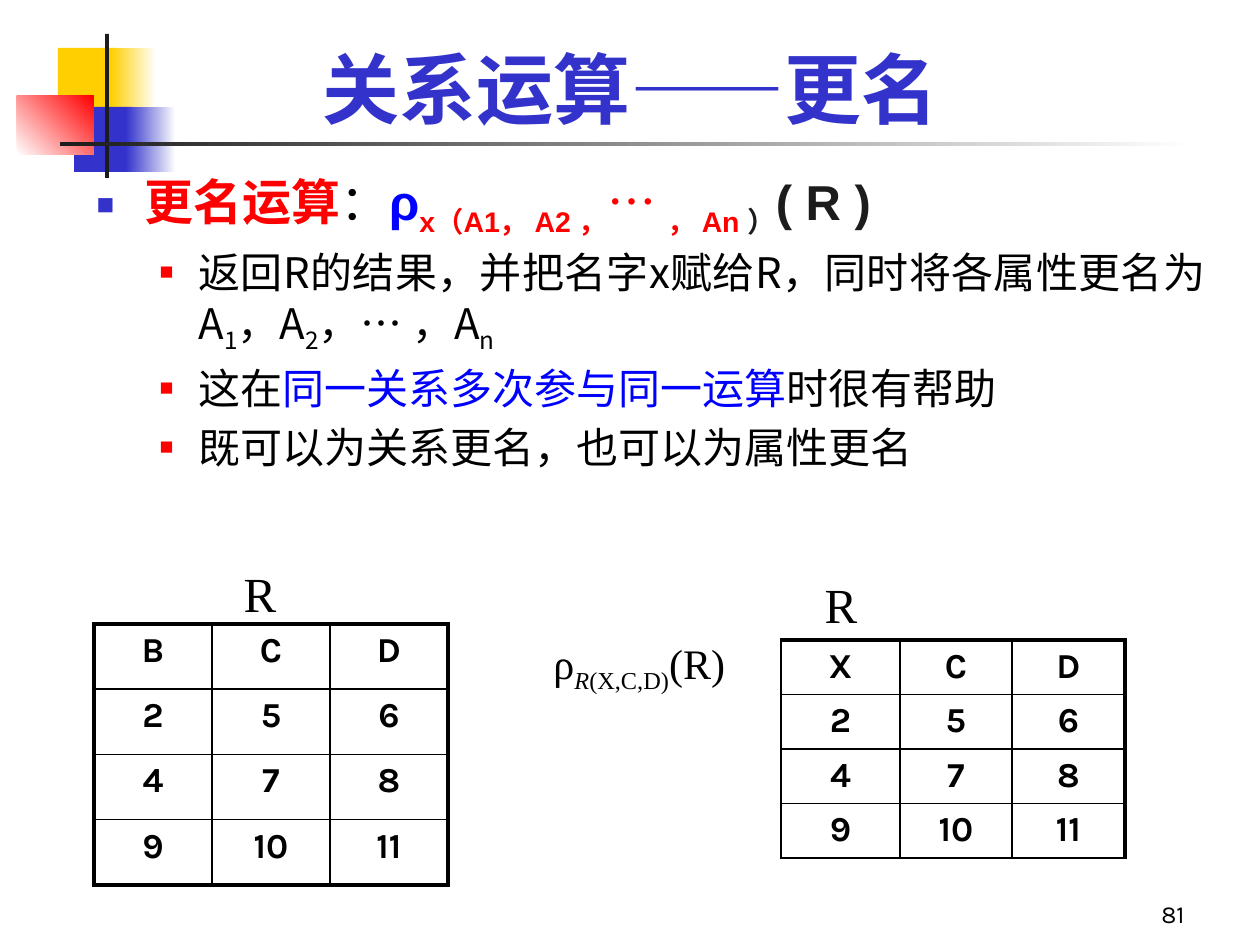
import dataclasses

import lxml.etree
import pptx
import pptx.dml.color
import pptx.enum.shapes
import pptx.enum.text
import pptx.oxml.ns
import pptx.util

ALIGN = pptx.enum.text.PP_ALIGN
ANCHOR = pptx.enum.text.MSO_ANCHOR
EMU_PER_PX = 914400 / 126


@dataclasses.dataclass(frozen=True)
class Theme:
    """Colours, typefaces and type sizes of the deck."""

    ink: str = "000000"
    dark: str = "1C1C1C"
    indigo: str = "3333CC"
    blue: str = "0000FF"
    red: str = "FF0000"
    yellow: str = "FFCF01"
    white: str = "FFFFFF"
    cjk: str = "Noto Sans CJK SC"
    sans: str = "Arial"
    serif: str = "Times New Roman"
    grid: str = "Karla"
    title: int = 44
    lead: int = 28
    item: int = 24
    cell: int = 20
    page: int = 14
    thin: float = 1
    thick: float = 2.25


THEME = Theme()


def emu(px):
    """Turn pixels into EMU."""
    return pptx.util.Emu(round(px * EMU_PER_PX))


def rgb(colour):
    """Turn a hex string into a colour."""
    return pptx.dml.color.RGBColor.from_string(colour)


def add_xml(parent, tag, **attributes):
    """Append a drawing element and return it."""
    return lxml.etree.SubElement(parent, pptx.oxml.ns.qn(tag), attributes)


def place(part, box):
    """Move a placeholder to a pixel box."""
    part.left, part.top, part.width, part.height = map(emu, box)


def write(paragraph, pieces, size, font, align, colour=THEME.ink, bold=False):
    """Write (text, changes) pieces as formatted runs."""
    paragraph.alignment = align
    for text, changes in pieces:
        look = {"font": font, "colour": colour, "bold": bold, **changes}
        run = paragraph.add_run()
        run.text = text
        run.font.size = pptx.util.Pt(size)
        run.font.bold = look["bold"]
        run.font.italic = look.get("italic", False)
        run.font.color.rgb = rgb(look["colour"])
        run.font.name = look["font"]
        properties = run.font._element
        add_xml(properties, "a:ea", typeface=THEME.cjk)
        if look.get("sub"):
            properties.set("baseline", "-25000")


def add_block(slide, box, start, end=None, angle=0):
    """Add a borderless rectangle, plain or fading between two colours."""
    block = slide.shapes.add_shape(
        pptx.enum.shapes.MSO_SHAPE.RECTANGLE, *map(emu, box))
    block.shadow.inherit = False
    block.line.fill.background()
    if end is None:
        block.fill.solid()
        block.fill.fore_color.rgb = rgb(start)
        return
    block.fill.gradient()
    block.fill.gradient_angle = angle
    for stop, colour in zip(block.fill.gradient_stops, (start, end)):
        stop.color.rgb = rgb(colour)


def add_emblem(slide, left, top):
    """Add the coloured squares and the crossing rules."""
    blocks = (
        ((41, 14, 60, 66), THEME.yellow),
        ((94, 14, 45, 66), THEME.yellow, THEME.white),
        ((57, 73, 58, 65), THEME.indigo),
        ((109, 73, 50, 65), THEME.indigo, THEME.white),
        ((0, 62, 77, 59), THEME.white, THEME.red, 45),
        ((88, 0, 4, 144), THEME.dark),
        ((43, 108, 1134, 4), THEME.dark, THEME.white),
    )
    for (x, y, width, height), *paint in blocks:
        add_block(slide, (left + x, top + y, width, height), *paint)


def add_title(slide, box, text):
    """Fill the title placeholder."""
    title = slide.shapes.title
    place(title, box)
    title.text_frame.vertical_anchor = ANCHOR.BOTTOM
    write(title.text_frame.paragraphs[0], [(text, {})], THEME.title,
          THEME.cjk, ALIGN.CENTER, THEME.indigo, True)


def add_bullet(paragraph, margin, hang, colour, percent):
    """Give a paragraph a square bullet and a hanging indent."""
    properties = paragraph._p.get_or_add_pPr()
    properties.set("marL", str(emu(margin)))
    properties.set("indent", str(emu(-hang)))
    add_xml(add_xml(properties, "a:buClr"), "a:srgbClr", val=colour)
    add_xml(properties, "a:buSzPct", val=str(percent * 1000))
    add_xml(properties, "a:buFont", typeface=THEME.sans)
    add_xml(properties, "a:buChar", char="■")


def add_body(slide, box, lead, items):
    """Fill the body placeholder with a lead line and its sub-items."""
    body = slide.placeholders[1]
    place(body, box)
    frame = body.text_frame
    frame.auto_size = pptx.enum.text.MSO_AUTO_SIZE.NONE
    first = frame.paragraphs[0]
    add_bullet(first, 48, 48, THEME.indigo, 60)
    first.space_before = pptx.util.Pt(0)
    write(first, lead, THEME.lead, THEME.cjk, ALIGN.JUSTIFY)
    for pieces in items:
        item = frame.add_paragraph()
        item.level = 1
        add_bullet(item, 102, 39, THEME.red, 55)
        item.space_before = pptx.util.Pt(THEME.item * 0.2)
        write(item, pieces, THEME.item, THEME.cjk, ALIGN.JUSTIFY)


def add_label(slide, box, pieces, size, font, align, anchor=ANCHOR.TOP, wrap=True):
    """Add a one-line text box."""
    frame = slide.shapes.add_textbox(*map(emu, box)).text_frame
    frame.word_wrap = wrap
    frame.vertical_anchor = anchor
    write(frame.paragraphs[0], pieces, size, font, align)


def add_borders(cell, widths):
    """Draw the left, right, top and bottom borders of a cell."""
    properties = cell._tc.get_or_add_tcPr()
    for index, (side, width) in enumerate(zip("LRTB", widths)):
        line = lxml.etree.Element(pptx.oxml.ns.qn(f"a:ln{side}"),
                                  w=str(pptx.util.Pt(width)))
        add_xml(add_xml(line, "a:solidFill"), "a:srgbClr", val=THEME.ink)
        properties.insert(index, line)


def add_relation(slide, box, rows, column_widths, thick_sides):
    """Add a relation table with heavier lines on the named outer sides."""
    table = slide.shapes.add_table(
        len(rows), len(column_widths), *map(emu, box)).table
    table.first_row = table.horz_banding = False
    for column, width in zip(table.columns, column_widths):
        column.width = emu(width)
    last_row, last_column = len(rows) - 1, len(column_widths) - 1
    for r, values in enumerate(rows):
        for c, value in enumerate(values):
            cell = table.cell(r, c)
            cell.fill.background()
            edges = {"L": c == 0, "R": c == last_column,
                     "T": r == 0, "B": r == last_row}
            add_borders(cell, [
                THEME.thick if outer and side in thick_sides else THEME.thin
                for side, outer in edges.items()])
            write(cell.text_frame.paragraphs[0], [(value, {})], THEME.cell,
                  THEME.grid, ALIGN.CENTER, bold=True)


def main():
    """Build the slide on the rename operation."""
    deck = pptx.Presentation()
    deck.slide_width, deck.slide_height = emu(1260), emu(945)
    slide = deck.slides.add_slide(deck.slide_layouts[1])
    add_emblem(slide, 17, 34)
    add_title(slide, (94, 32, 1074, 108), "关系运算——更名")
    arial = {"font": THEME.sans, "bold": True}
    red_sub = {**arial, "colour": THEME.red, "sub": True}
    sub = {"sub": True}
    lead = [("更名运算", {"colour": THEME.red, "bold": True}), ("：", {}),
            ("ρ", {**arial, "colour": THEME.blue}), ("x（A1， A2 ，", red_sub),
            ("… ", {"colour": THEME.red}), ("， An ", red_sub),
            ("）", {**arial, "colour": THEME.dark, "sub": True}),
            ("( R ) ", {**arial, "colour": THEME.dark})]
    items = [
        [("返回R的结果，并把名字x赋给R，同时将各属性更名为A", {}), ("1", sub),
         ("，A", {}), ("2", sub), ("，… ，A", {}), ("n ", sub)],
        [("这在", {}), ("同一关系多次参与同一运算", {"colour": THEME.blue}),
         ("时很有帮助", {})],
        [("既可以为关系更名，也可以为属性更名", {})],
    ]
    add_body(slide, (84, 165, 1134, 740), lead, items)
    tuples = [("2", "5", "6"), ("4", "7", "8"), ("9", "10", "11")]
    add_relation(slide, (94, 624, 354, 261), [("B", "C", "D"), *tuples],
                 (118, 118, 118), "LRTB")
    add_relation(slide, (781, 640, 344, 218), [("X", "C", "D"), *tuples],
                 (119, 112, 113), "RT")
    for left, top in ((181, 557), (762, 568)):
        add_label(slide, (left, top, 158, 72), [("R", {})], THEME.lead,
                  THEME.serif, ALIGN.CENTER)
    rename = [("ρ", {}), ("R", {"italic": True, "sub": True}),
              ("(X,C,D)", sub), ("(R)", {})]
    add_label(slide, (541, 631, 210, 63), rename, THEME.item, THEME.serif,
              ALIGN.LEFT, wrap=False)
    add_label(slide, (935, 872, 262, 63), [("81", {})], THEME.page, THEME.grid,
              ALIGN.RIGHT, ANCHOR.BOTTOM)
    deck.save("out.pptx")


if __name__ == "__main__":
    main()
